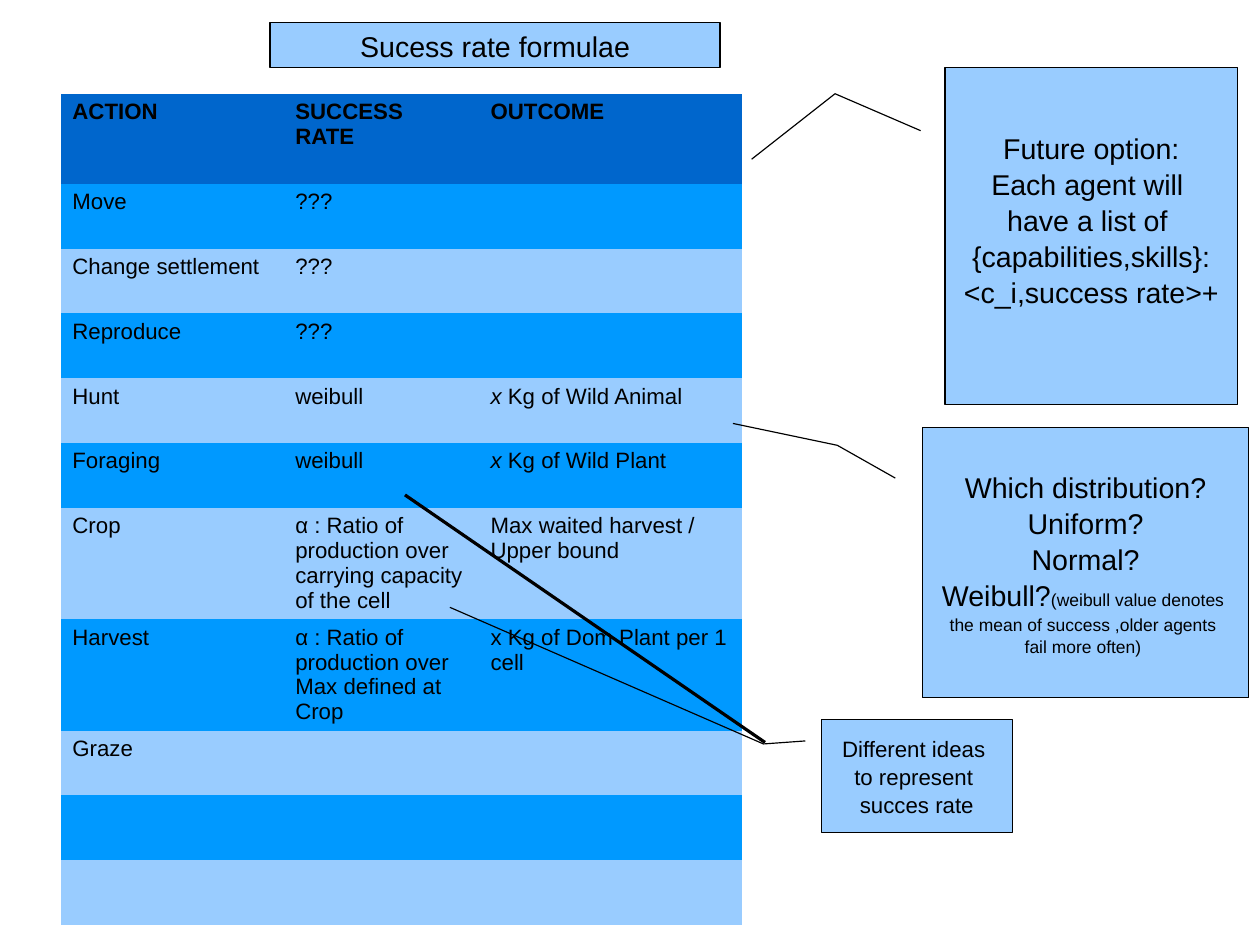
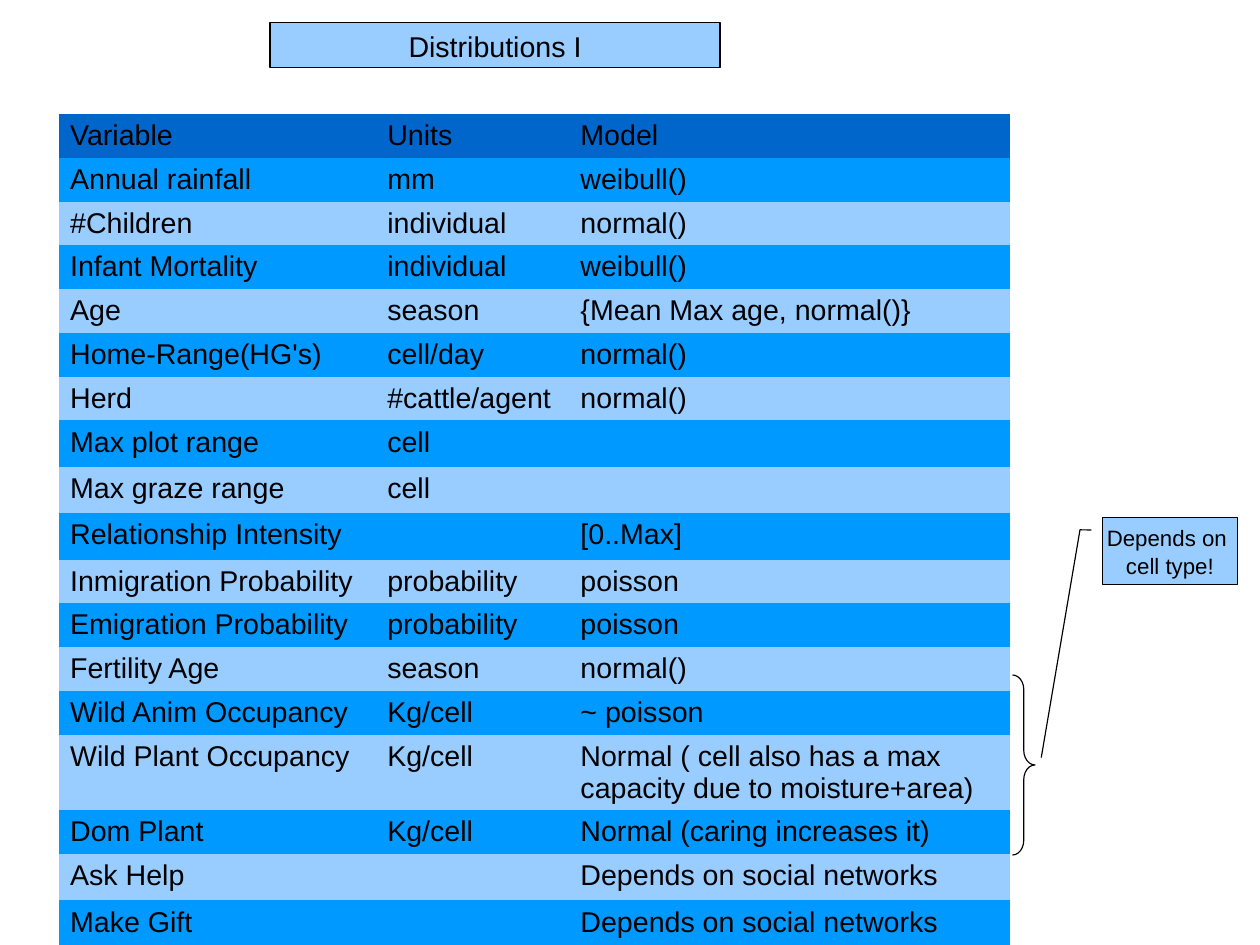
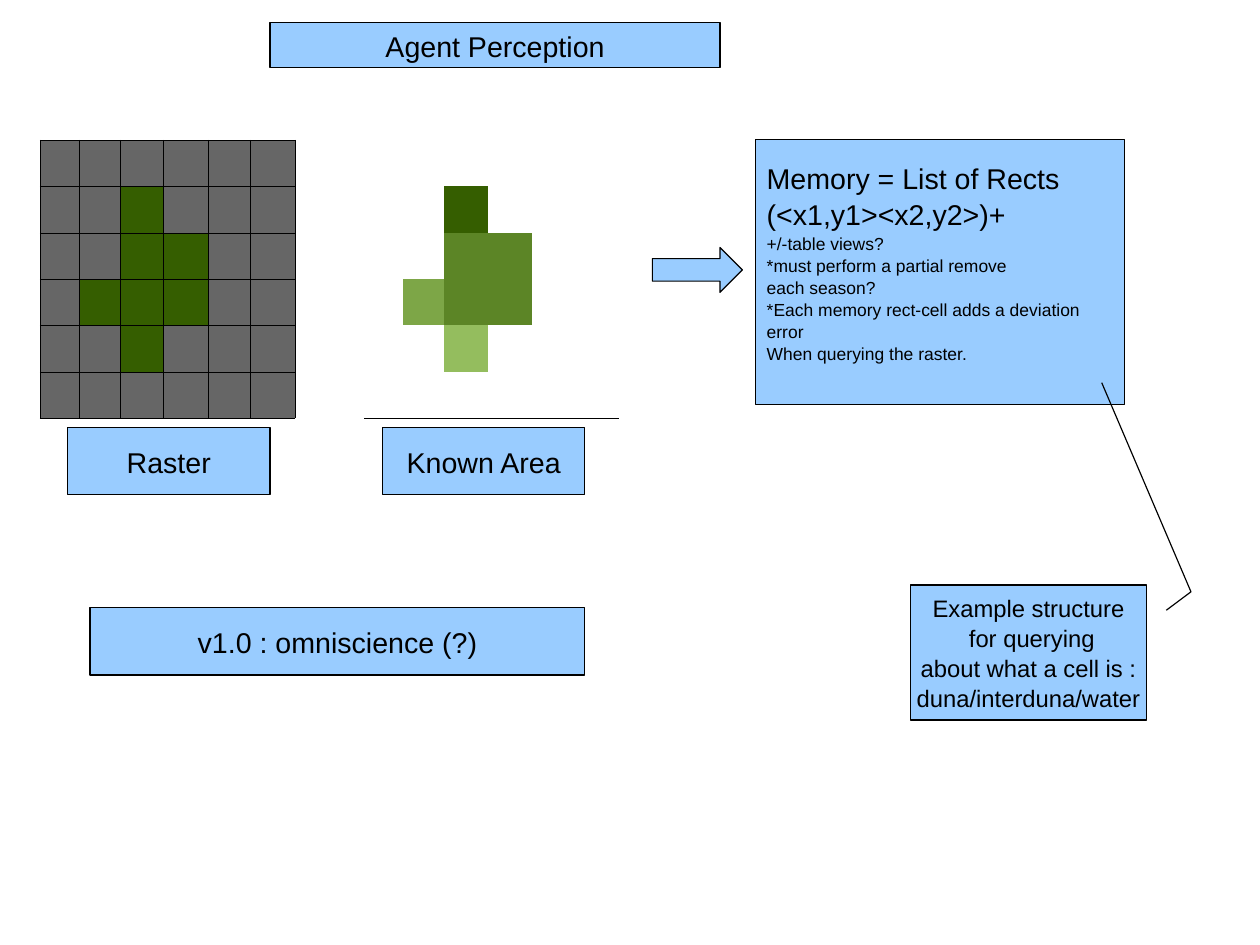
from dataclasses import dataclass
from itertools import product
from typing import Sequence, Union

from lxml.etree import SubElement
from pptx import Presentation
from pptx.dml.color import RGBColor
from pptx.enum.shapes import MSO_CONNECTOR as Connector, MSO_SHAPE as Preset
from pptx.enum.text import MSO_ANCHOR as Anchor, PP_ALIGN as Align
from pptx.oxml.ns import qn
from pptx.util import Pt

FONT = "Arial"
INK = "000000"
HEADER = "0066CC"
STRIPE = "0099FF"
PALE = "99CCFF"
STONE = "666666"
FOREST = "355E00"
PLAIN_TABLE = "{2D5ABB26-0587-4C30-8999-92F81FD0307C}"
BORDER_WIDTH = 0.06
LINE_SPACING = 1.05


@dataclass(frozen=True)
class Span:
    text: str
    size: float | None = None
    italic: bool = False


@dataclass(frozen=True)
class Line:
    spans: tuple[Span, ...]
    size: float | None = None


Text = Union[str, Line]


@dataclass(frozen=True)
class Box:
    left: float
    top: float
    width: float
    height: float
    lines: tuple[Text, ...] = ()
    size: float = 18
    align: Align = Align.CENTER
    preset: Preset = Preset.RECTANGLE
    adjustments: tuple[float, ...] = ()
    wrap: bool = True
    flipped: bool = False
    extra_bottom: float = 0
    fill: str | None = PALE


@dataclass(frozen=True)
class Grid:
    left: float
    top: float
    columns: tuple[float, ...]
    rows: tuple[float, ...]


def colour(code: str) -> RGBColor:
    return RGBColor.from_string(code)


def small(text: str) -> Line:
    return Line((Span(text),), 11)


def write_line(para, line: Text, size: float, bold: bool = False) -> None:
    if isinstance(line, str):
        line = Line((Span(line),))
    font = para.font
    font.name = FONT
    font.size = Pt(line.size or size)
    font.bold = bold
    font.color.rgb = colour(INK)
    for span in line.spans:
        run = para.add_run()
        run.text = span.text
        if span.size:
            run.font.size = Pt(span.size)
        if span.italic:
            run.font.italic = True


def draw_box(page, box: Box) -> None:
    shape = page.shapes.add_shape(
        box.preset, Pt(box.left), Pt(box.top), Pt(box.width), Pt(box.height))
    shape.shadow.inherit = False
    for index, value in enumerate(box.adjustments):
        shape.adjustments[index] = value
    if box.flipped:
        shape.element.spPr.find(qn("a:xfrm")).set("flipH", "1")
    if box.fill:
        shape.fill.solid()
        shape.fill.fore_color.rgb = colour(box.fill)
    else:
        shape.fill.background()
    shape.line.color.rgb = colour(INK)
    shape.line.width = Pt(0)
    frame = shape.text_frame
    frame.word_wrap = box.wrap
    frame.vertical_anchor = Anchor.MIDDLE
    frame.margin_bottom = Pt(3.6 + box.extra_bottom)
    for index, line in enumerate(box.lines):
        para = frame.add_paragraph() if index else frame.paragraphs[0]
        para.alignment = box.align
        para.line_spacing = LINE_SPACING
        write_line(para, line, box.size)


def draw_line(page, start: tuple[float, float], end: tuple[float, float]) -> None:
    line = page.shapes.add_connector(
        Connector.STRAIGHT, Pt(start[0]), Pt(start[1]), Pt(end[0]), Pt(end[1]))
    line.line.color.rgb = colour(INK)
    line.line.width = Pt(0)
    SubElement(line.element.spPr, qn("a:effectLst"))


def add_grid(page, grid: Grid):
    frame = page.shapes.add_table(
        len(grid.rows), len(grid.columns), Pt(grid.left), Pt(grid.top),
        Pt(sum(grid.columns)), Pt(sum(grid.rows)))
    table = frame.table
    table.horz_banding = False
    table.first_row = False
    frame.element.find(f".//{qn('a:tableStyleId')}").text = PLAIN_TABLE
    for column, width in zip(table.columns, grid.columns):
        column.width = Pt(width)
    for row, height in zip(table.rows, grid.rows):
        row.height = Pt(height)
    return table


def paint(cell, fill: str | None) -> None:
    if fill:
        cell.fill.solid()
        cell.fill.fore_color.rgb = colour(fill)
    else:
        cell.fill.background()


def add_borders(cell, sides: str) -> None:
    properties = cell._tc.get_or_add_tcPr()
    for side in sides:
        border = SubElement(properties, qn(f"a:ln{side}"), w=str(Pt(BORDER_WIDTH)))
        solid = SubElement(border, qn("a:solidFill"))
        SubElement(solid, qn("a:srgbClr"), val=INK)


def draw_table(page, grid: Grid, rows: Sequence[Sequence[Text]], size: float,
               bold_header: bool = False) -> None:
    table = add_grid(page, grid)
    table.first_row = True
    for row_index, column_index in product(range(len(grid.rows)), range(len(grid.columns))):
        cell = table.cell(row_index, column_index)
        paint(cell, (STRIPE if row_index % 2 else PALE) if row_index else HEADER)
        values = rows[row_index]
        if column_index < len(values) and values[column_index]:
            write_line(cell.text_frame.paragraphs[0], values[column_index], size,
                       bold_header and row_index == 0)


def draw_raster(page, left: float, cells: dict[tuple[int, int], str],
                background: str | None) -> None:
    grid = Grid(left, 88.2, (24.5, 25.9, 27.4, 28.1, 26.6, 28.1), (27.6,) * 6)
    table = add_grid(page, grid)
    last_row = len(grid.rows) - 1
    for row, column in product(range(len(grid.rows)), range(len(grid.columns))):
        cell = table.cell(row, column)
        if background:
            add_borders(cell, "LRTB")
        elif row == last_row:
            add_borders(cell, "B")
        paint(cell, cells.get((row, column), background))


def callout(left: float, top: float, width: float, height: float, lines: tuple[Text, ...],
            bend: tuple[float, ...], size: float = 18, flipped: bool = False,
            extra_bottom: float = 0) -> Box:
    return Box(left, top, width, height, lines, size, preset=Preset.LINE_CALLOUT_2,
               adjustments=(0.1875, -0.0833, *bend), wrap=False, flipped=flipped,
               extra_bottom=extra_bottom)


def add_page(deck, title: str):
    page = deck.slides.add_slide(deck.slide_layouts[6])
    draw_box(page, Box(170.1, 14.2, 283.5, 28.3, (title,)))
    return page


def success_rate_page(deck) -> None:
    page = add_page(deck, "Sucess rate formulae")
    variable = Span("x", italic=True)
    rows = (
        ("ACTION", "SUCCESS RATE", "OUTCOME"),
        ("Move", "???"),
        ("Change settlement", "???"),
        ("Reproduce", "???"),
        ("Hunt", "weibull", Line((variable, Span(" Kg of Wild Animal")))),
        ("Foraging", "weibull", Line((variable, Span(" Kg of Wild Plant")))),
        ("Crop", "α : Ratio of production over carrying capacity of the cell",
         "Max waited harvest / Upper bound"),
        ("Harvest", "α : Ratio of production over Max defined at Crop",
         "x Kg of Dom Plant per 1 cell"),
        ("Graze",),
        (),
        (),
    )
    heights = (56.7, *(40.8,) * 5, 70.2, 70.2, *(40.8,) * 3)
    draw_table(page, Grid(38.4, 59.2, (140.4, 123, 165.6), heights), rows, 14, True)
    draw_box(page, callout(
        595.3, 42.5, 184.3, 212.6,
        ("Future option:", "Each agent will ", "have a list of ",
         "{capabilities,skills}:", "<c_i,success rate>+"),
        (0.078, -0.376, 0.272, -0.661), extra_bottom=21.7))
    draw_box(page, callout(
        581.1, 269.3, 205.5, 170.1,
        ("Which distribution?", "Uniform?", "Normal?",
         Line((Span("Weibull?"), Span("(weibull value denotes ", 11))),
         small("the mean of success ,older agents "), small("fail more often) ")),
        (0.066, -0.261, -0.015, -0.581)))
    draw_box(page, callout(
        517.3, 453.5, 120.5, 70.9,
        ("Different ideas ", "to represent ", "succes rate"),
        (0.214, -0.302, -1, -1.941), 14))
    draw_line(page, (481.9, 467.7), (255.1, 311.8))


def distributions_page(deck) -> None:
    page = add_page(deck, "Distributions I")
    rows = (
        ("Variable", "Units", "Model"),
        ("Annual rainfall", "mm", "weibull()"),
        ("#Children", "individual", "normal()"),
        ("Infant Mortality", "individual", "weibull()"),
        ("Age", "season", "{Mean Max age, normal()}"),
        ("Home-Range(HG's)", "cell/day", "normal()"),
        ("Herd", "#cattle/agent", "normal()"),
        ("Max plot range", "cell"),
        ("Max graze range", "cell"),
        ("Relationship Intensity", "", "[0..Max]"),
        ("Inmigration Probability", "probability", "poisson"),
        ("Emigration Probability", "probability", "poisson"),
        ("Fertility Age", "season", "normal()"),
        ("Wild Anim Occupancy", "Kg/cell", "~ poisson"),
        ("Wild Plant Occupancy", "Kg/cell",
         "Normal ( cell also has a max capacity due to moisture+area)"),
        ("Dom Plant", "Kg/cell", "Normal (caring increases it)"),
        ("Ask Help", "", "Depends on social networks"),
        ("Make Gift", "", "Depends on social networks"),
    )
    heights = (*(27.6,) * 14, 47.7, *(27.6,) * 3)
    draw_table(page, Grid(37, 71.8, (199.8, 121.7, 277.9), heights), rows, 18)
    draw_box(page, callout(
        694.5, 325.9, 85, 42.5, ("Depends on ", "cell type!"),
        (0.185, -0.167, 3.562, -0.454), 14))
    draw_box(page, Box(637.8, 425.2, 14.2, 113.4, preset=Preset.RIGHT_BRACE,
                       adjustments=(0.65, 0.5), fill=None))


def perception_page(deck) -> None:
    page = add_page(deck, "Agent Perception")
    seen = ((1, 2), (2, 2), (2, 3), (3, 1), (3, 2), (3, 3), (4, 2))
    block = ((2, 2), (2, 3), (3, 2), (3, 3))
    known = {(1, 2): FOREST, (3, 1): "7DA647", (4, 2): "94BD5E",
             **dict.fromkeys(block, "5C8526")}
    draw_raster(page, 25.2, dict.fromkeys(seen, FOREST), STONE)
    draw_raster(page, 229.4, known, None)
    draw_box(page, Box(411, 155.9, 56.7, 28.3, preset=Preset.RIGHT_ARROW))
    draw_box(page, Box(
        475.9, 87.9, 232.6, 167.2,
        ("Memory = List of Rects", "(<x1,y1><x2,y2>)+", small("+/-table views?"),
         small("*must perform a partial remove"), small("each season?"),
         small("*Each memory rect-cell adds a deviation error"),
         small("When querying the raster.")),
        align=Align.LEFT, extra_bottom=13.2))
    for left, label in ((42.5, "Raster"), (240.9, "Known Area")):
        draw_box(page, Box(left, 269.3, 127.6, 42.5, (label,)))
    draw_box(page, callout(
        573.5, 368.5, 148.8, 85,
        ("Example structure", " for querying", " about what a cell is : ",
         "duna/interduna/water"),
        (0.051, -0.188, -1.499, 0.19), 15, flipped=True))
    draw_box(page, Box(56.7, 382.7, 311.8, 42.5, ("v1.0 : omniscience (?)",)))


def main() -> None:
    deck = Presentation()
    deck.slide_width = Pt(793.7)
    deck.slide_height = Pt(595.3)
    success_rate_page(deck)
    distributions_page(deck)
    perception_page(deck)
    deck.save("out.pptx")


if __name__ == "__main__":
    main()
